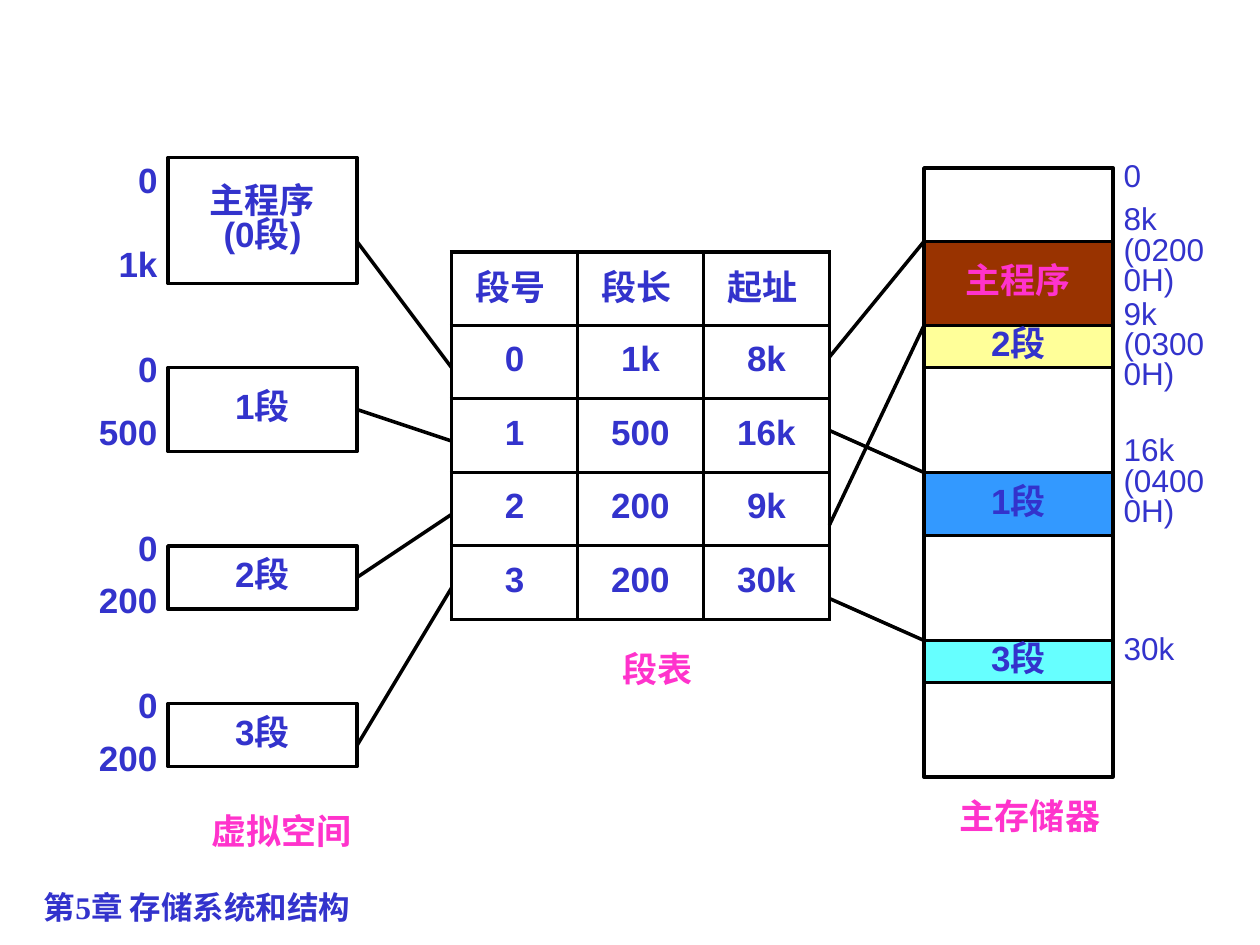
from dataclasses import dataclass
from itertools import pairwise

from lxml import etree
from pptx import Presentation, util as u
from pptx.dml.color import RGBColor
from pptx.enum import shapes, text
from pptx.oxml import ns

EMU_PER_PX = 7620
BLUE, PINK, BLACK = "3333CC", "FF33CC", "000000"
LINE_WIDTH = u.Pt(2)
CENTER, LEFT, RIGHT = text.PP_ALIGN.CENTER, text.PP_ALIGN.LEFT, text.PP_ALIGN.RIGHT
MIDDLE = text.MSO_ANCHOR.MIDDLE


@dataclass
class Segment:
    name: str
    top: int
    height: int
    limit: str
    start_top: int
    limit_top: int


@dataclass
class Block:
    top: int
    name: str = ""
    fill: str = ""
    color: str = BLUE


@dataclass
class Label:
    words: str
    left: int
    top: int
    width: int
    height: int


SEGMENTS = [
    Segment("主程序\v(0段)", 150, 120, "1k", 140, 220),
    Segment("1段", 350, 80, "500", 320, 380),
    Segment("2段", 520, 60, "200", 490, 540),
    Segment("3段", 670, 60, "200", 640, 690),
]
MEMORY = [
    Block(160),
    Block(230, "主程序", "993300", PINK),
    Block(310, "2段", "FFFF99"),
    Block(350),
    Block(450, "1段", "3399FF"),
    Block(510),
    Block(610, "3段", "66FFFF"),
    Block(650),
    Block(740),
]
ADDRESSES = [("0", 140), ("8k\n(02000H)", 210), ("9k\n(03000H)", 300),
             ("16k\n(04000H)", 430), ("30k", 590)]
SEGMENT_TABLE = [
    ["段号", "段长", "起址"],
    ["0", "1k", "8k"],
    ["1", "500", "16k"],
    ["2", "200", "9k"],
    ["3", "200", "30k"],
]
CAPTIONS = [Label("虚拟空间", 186, 770, 164, 50), Label("主存储器", 856, 750, 250, 60),
            Label("段表", 516, 610, 220, 60)]
SPACE_LEFT, MEMORY_LEFT, BOX_WIDTH = 160, 880, 180
TABLE_LEFT, TABLE_TOP, COLUMN_WIDTH, ROW_HEIGHT = 430, 240, 120, 70
TABLE_RIGHT = TABLE_LEFT + 3 * COLUMN_WIDTH
SPACE_LINKS = [(230, 350), (390, 420), (550, 490), (710, 560)]
MEMORY_LINKS = [(340, 230), (410, 450), (500, 310), (570, 610)]


def px(length: int) -> u.Emu:
    return u.Emu(length * EMU_PER_PX)


def rgb(color: str) -> RGBColor:
    return RGBColor.from_string(color)


def style_text(frame, align, color: str, size: int, bold: bool, font: str, spacing: float) -> None:
    for paragraph in frame.paragraphs:
        paragraph.alignment = align
        paragraph.line_spacing = spacing
        for run in paragraph.runs:
            run.font.name, run.font.size, run.font.bold = font, u.Pt(size), bold
            run.font.color.rgb = rgb(color)


def write(frame, words: str, align=CENTER, color: str = BLUE, size: int = 20, bold: bool = True) -> None:
    frame.margin_left = frame.margin_right = px(10)
    frame.margin_top = frame.margin_bottom = px(5)
    frame.vertical_anchor = MIDDLE
    frame.word_wrap = False
    frame.text = words
    style_text(frame, align, color, size, bold, "Arial", 0.8)


def add_label(slide, label: Label, **style) -> None:
    box = slide.shapes.add_textbox(px(label.left), px(label.top), px(label.width), px(label.height))
    write(box.text_frame, label.words, **style)


def add_box(slide, label: Label, fill: str = "", color: str = BLUE) -> None:
    box = slide.shapes.add_shape(shapes.MSO_SHAPE.RECTANGLE, px(label.left), px(label.top),
                                 px(label.width), px(label.height))
    box.shadow.inherit = False
    if fill:
        box.fill.solid()
        box.fill.fore_color.rgb = rgb(fill)
    else:
        box.fill.background()
    box.line.color.rgb = rgb(BLACK)
    box.line.width = LINE_WIDTH
    if label.words:
        write(box.text_frame, label.words, color=color)


def add_link(slide, left: int, start: int, right: int, end: int) -> None:
    link = slide.shapes.add_connector(shapes.MSO_CONNECTOR.STRAIGHT, px(left), px(start), px(right), px(end))
    link.line.color.rgb = rgb(BLACK)
    link.line.width = LINE_WIDTH
    etree.SubElement(link._element.spPr, ns.qn("a:effectLst"))


def add_borders(cell) -> None:
    properties = cell._tc.get_or_add_tcPr()
    for side in ("a:lnL", "a:lnR", "a:lnT", "a:lnB"):
        border = etree.SubElement(properties, ns.qn(side), w=str(int(LINE_WIDTH)))
        fill = etree.SubElement(border, ns.qn("a:solidFill"))
        etree.SubElement(fill, ns.qn("a:srgbClr"), val=BLACK)


def add_segment_table(slide) -> None:
    frame = slide.shapes.add_table(len(SEGMENT_TABLE), 3, px(TABLE_LEFT), px(TABLE_TOP),
                                   px(3 * COLUMN_WIDTH), px(len(SEGMENT_TABLE) * ROW_HEIGHT))
    table = frame.table
    table.first_row = table.horz_banding = False
    for row, values in enumerate(SEGMENT_TABLE):
        table.rows[row].height = px(ROW_HEIGHT)
        for column, value in enumerate(values):
            cell = table.cell(row, column)
            add_borders(cell)
            cell.fill.background()
            cell.margin_left = px(10)
            cell.margin_right = px(10 if row else 18)
            cell.margin_top = cell.margin_bottom = px(5)
            cell.vertical_anchor = MIDDLE
            cell.text = value
            style_text(cell.text_frame, CENTER, BLUE, 20, True, "Arial", 0.8)


def add_footer(slide) -> None:
    footer = slide.shapes.add_textbox(px(30), px(840), px(700), px(30)).text_frame
    footer.word_wrap = True
    footer.text = "第5章 存储系统和结构"
    style_text(footer, LEFT, BLUE, 18, True, "Times New Roman", 1.0)


def main() -> None:
    deck = Presentation()
    deck.slide_width, deck.slide_height = px(1200), px(900)
    slide = deck.slides.add_slide(deck.slide_layouts[6])
    add_footer(slide)
    for segment in SEGMENTS:
        add_box(slide, Label(segment.name, SPACE_LEFT, segment.top, BOX_WIDTH, segment.height))
        for words, top in (("0", segment.start_top), (segment.limit, segment.limit_top)):
            add_label(slide, Label(words, 60, top, 100, 70), align=RIGHT)
    for block, following in pairwise(MEMORY):
        area = Label(block.name, MEMORY_LEFT, block.top, BOX_WIDTH, following.top - block.top)
        add_box(slide, area, block.fill, block.color)
    for words, top in ADDRESSES:
        add_label(slide, Label(words, MEMORY_LEFT + BOX_WIDTH, top, 100, 60), align=LEFT, size=18, bold=False)
    add_segment_table(slide)
    for start, end in SPACE_LINKS:
        add_link(slide, SPACE_LEFT + BOX_WIDTH, start, TABLE_LEFT, end)
    for start, end in MEMORY_LINKS:
        add_link(slide, TABLE_RIGHT, start, MEMORY_LEFT, end)
    for caption in CAPTIONS:
        add_label(slide, caption, color=PINK)
    deck.save("out.pptx")


if __name__ == "__main__":
    main()
